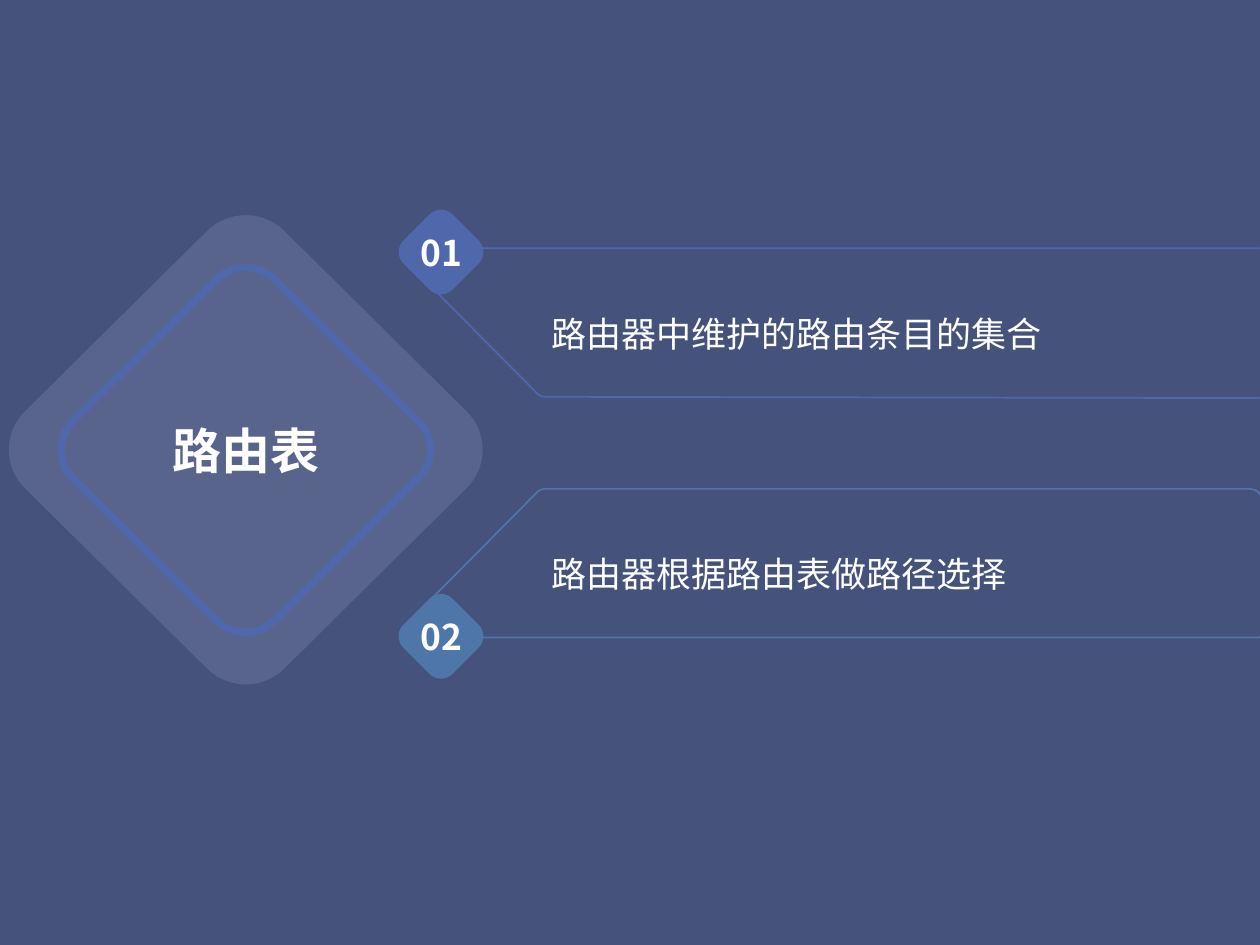
from math import hypot

from pptx import Presentation
from pptx.dml.color import RGBColor
from pptx.enum.text import MSO_ANCHOR as Anchor, PP_ALIGN as Align
from pptx.oxml.ns import qn
from pptx.util import Inches, Pt
from lxml.etree import SubElement

COLS, ROWS = 10, 7.5
FONT = "Noto Sans CJK SC"
WHITE, NAVY, PALE, BLUE, STEEL = "FFFFFF", "45527B", "CAD1E7", "4F68AC", "4E76A8"


def rgb(color):
    return RGBColor.from_string(color)


def write(sp, text, size=20, bold=False, align=Align.LEFT, spacing=None,
          left=0, right=0, wrap=True):
    tf = sp.text_frame
    tf.word_wrap, tf.vertical_anchor = wrap, Anchor.MIDDLE
    tf.margin_left, tf.margin_right = Inches(left), Inches(right)
    tf.margin_top = tf.margin_bottom = 0
    p = tf.paragraphs[0]
    p.alignment, p.line_spacing = align, spacing
    r = p.add_run()
    r.text = text
    r.font.name, r.font.size, r.font.bold = FONT, Pt(size), bold
    r.font.color.rgb = rgb(WHITE)
    SubElement(r.font._element, qn("a:ea"), typeface=FONT)


def toward(a, b, share):
    return tuple(m + (n - m) * share for m, n in zip(a, b))


def corner_curves(corners):
    """Bezier points (start, handle, handle, end) of each (x, y, cut) corner."""
    curves = []
    for i, (*tip, cut) in enumerate(corners):
        start, end = (toward(tip, near, cut / hypot(near[0] - tip[0], near[1] - tip[1]))
                      for near in (corners[i - 1][:2], corners[(i + 1) % len(corners)][:2]))
        curves.append((start, toward(start, tip, 0.55), toward(end, tip, 0.55), end))
    return curves


def curve_middle(curve):
    return tuple((a + 3 * b + 3 * c + d) / 8 for a, b, c, d in zip(*curve))


class Deck:
    """Holds the grid, the style and the current slide."""

    def __init__(self):
        self.prs = Presentation()
        self.prs.slide_width, self.prs.slide_height = Inches(COLS), Inches(ROWS)
        self.unit = self.prs.slide_width / COLS

    def slide(self, background):
        self.s = self.prs.slides.add_slide(self.prs.slide_layouts[6])
        fill = self.s.background.fill
        fill.solid()
        fill.fore_color.rgb = rgb(background)

    def emu(self, point):
        return tuple(round(v * self.unit) for v in point)

    def outline(self, corners, fill=None, alpha=None, line=None, width=1):
        curves = corner_curves(corners)
        # Straight segments through the curve middles give the frame its size
        frame = [self.emu(pt) for c in curves for pt in (c[0], curve_middle(c), c[3])]
        builder = self.s.shapes.build_freeform(*frame[0])
        builder.add_line_segments(frame[1:], close=True)
        sp = builder.convert_to_shape()
        self.curve(sp, curves)
        sp.shadow.inherit = False
        if fill:
            sp.fill.solid()
            sp.fill.fore_color.rgb = rgb(fill)
            if alpha:
                clr = sp._element.spPr.find(qn("a:solidFill"))[0]
                SubElement(clr, qn("a:alpha"), val=str(alpha * 1000))
        else:
            sp.fill.background()
        if line:
            sp.line.color.rgb, sp.line.width = rgb(line), Pt(width)
        else:
            sp.line.fill.background()
        return sp

    def curve(self, sp, curves):
        """Replace the segments of a freeform by edges and true corner curves."""
        outline = next(sp._element.iter(qn("a:path")))
        for child in list(outline):
            outline.remove(child)

        def step(tag, points):
            node = SubElement(outline, qn(tag))
            for x, y in map(self.emu, points):
                SubElement(node, qn("a:pt"), x=str(x - sp.left), y=str(y - sp.top))

        for i, (start, *rest) in enumerate(curves):
            step("a:lnTo" if i else "a:moveTo", [start])
            step("a:cubicBezTo", rest)
        step("a:close", [])

    def diamond(self, cx, cy, half_w, half_h, cut, **style):
        return self.outline([(cx - half_w, cy, cut), (cx, cy - half_h, cut),
                             (cx + half_w, cy, cut), (cx, cy + half_h, cut)], **style)

    def panel(self, text, outer, inner, end, color, end_cut):
        """Band running off the right edge, slanted from its outer left corner."""
        sp = self.outline([(4.29, inner, 0.03), (3.12, outer, 0.11),
                           (10.02, outer, 0.03), (10.02, end, end_cut)], line=color)
        write(sp, text, spacing=1.5, left=1.2)

    def badge(self, text, cy, color):
        sp = self.diamond(3.5, cy, 0.39, 0.39, 0.13, fill=color)
        write(sp, text, size=20.2, bold=True, align=Align.CENTER, wrap=False)


def main():
    deck = Deck()
    deck.slide(NAVY)

    # Two points: panels behind, numbered badges on their outer corners
    deck.panel("路由器中维护的路由条目的集合", 1.97, 3.15, 3.16, BLUE, 0.03)
    deck.panel("路由器根据路由表做路径选择", 5.06, 3.88, 3.88, STEEL, 0.1)
    deck.badge("01", 2, BLUE)
    deck.badge("02", 5.05, STEEL)

    # Topic: translucent diamond with a ring inside
    deck.diamond(1.95, 3.57, 2.06, 2.04, 0.43, fill=PALE, alpha=15)
    ring = deck.diamond(1.95, 3.57, 1.6, 1.58, 0.32, line=BLUE, width=4.25)
    write(ring, "路由表", size=28, bold=True, align=Align.CENTER, left=0.33, right=0.33)

    deck.prs.save("out.pptx")


if __name__ == "__main__":
    main()
